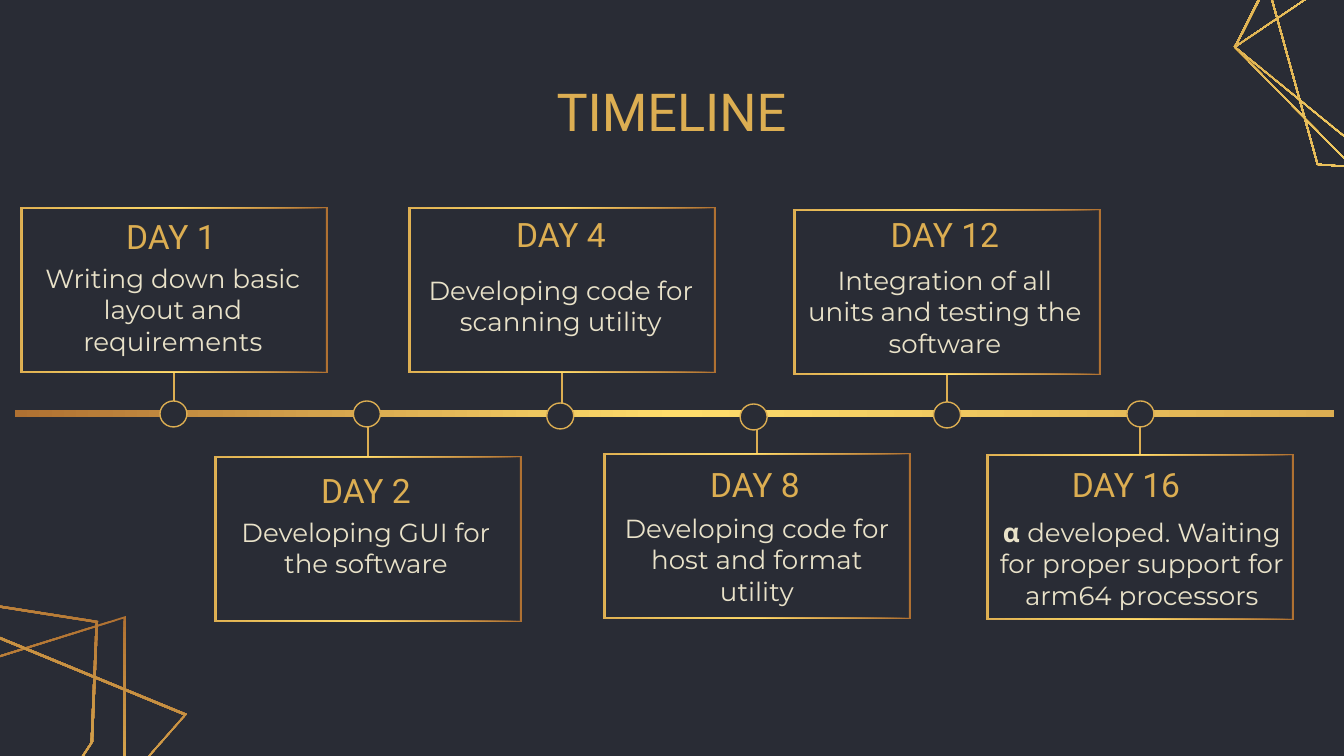
from copy import deepcopy

from pptx import Presentation
from pptx.dml.color import RGBColor
from pptx.enum.shapes import MSO_CONNECTOR as Conn, MSO_SHAPE as Shape
from pptx.enum.text import MSO_ANCHOR as Anchor, PP_ALIGN as Align
from pptx.oxml.ns import qn
from pptx.oxml.xmlchemy import OxmlElement as Node
from pptx.util import Inches, Pt

NAVY = RGBColor(0x29, 0x2C, 0x35)
GOLD = RGBColor(0xDC, 0xAE, 0x52)
CREAM = RGBColor(0xE9, 0xE2, 0xC9)
BLEND = [(0, RGBColor(0xAF, 0x71, 0x32)), (0.5, RGBColor(0xFF, 0xDD, 0x6B)), (1, GOLD)]

# Text formats
TITLE = {"name": "Roboto", "size": Pt(28), "color": GOLD}
DAY = {"name": "Roboto", "size": Pt(18), "color": GOLD}
BODY = {"name": "Montserrat", "size": Pt(14), "color": CREAM, "bold": False}

# Each step: frame corner, day corner, body corner, dot top, day, body runs (text, bold)
STEPS = [
    ((20, 207), (15, 210), (17, 249), 401, "DAY 1",
     [("Writing down basic layout and requirements", False)]),
    ((214, 456), (210, 464), (210, 503), 401, "DAY 2",
     [("Developing GUI for the software", False)]),
    ((408, 207), (405, 208), (405, 261), 403, "DAY 4",
     [("Developing code for scanning utility", False)]),
    ((603, 453), (599, 458), (601, 499), 404, "DAY 8",
     [("Developing code for host and format utility", False)]),
    ((793, 209), (789, 208), (789, 251), 402, "DAY 12",
     [("Integration of all units and testing the software", False)]),
    ((986, 454), (970, 458), (986, 503), 401, "DAY 16",
     [("α ", True), ("developed. Waiting for proper support for arm64 processors", False)]),
]

# Corner outlines: turn of the blend in degrees, corners
CORNERS = [
    (90, [(-438, 792), (126, 616), (126, 864), (-206, 1208)]),
    (175, [(1255, -59), (1400, -130), (1582, 30), (1625, 149), (1554, 183), (1317, 165)]),
    (175, [(1234, 47), (1288, -60), (1614, 28), (1636, 230), (1349, 164)]),
    (175, [(1234, 47), (1490, -126), (1636, 230), (1474, 243)]),
    (114, [(-450, 965), (-439, 716), (-93, 591), (98, 621), (93, 742), (-105, 1046)]),
    (114, [(-351, 1118), (-454, 969), (-97, 597), (187, 714), (-109, 1050)]),
]

WIDE, HIGH = 308, 166       # frame
DOT_W, DOT_H = 27, 26
DOT_X, PITCH = 160, 193.4
TEXT_W, DAY_H, BODY_H = 312, 52, 128
UNIT = Inches(10) / 1344

prs = Presentation()
prs.slide_width, prs.slide_height = Inches(10), Inches(5.625)
slide = prs.slides.add_slide(prs.slide_layouts[6])
slide.background.fill.solid()
slide.background.fill.fore_color.rgb = NAVY
shapes = slide.shapes


def px(*nums):
    return [round(n * UNIT) for n in nums]


def blend(shape, turn):
    """Fill with the three-stop gold blend, turned clockwise."""
    shape.shadow.inherit = False
    shape.line.fill.background()
    fill = shape.fill
    fill.gradient()
    fill.gradient_angle = (360 - turn) % 360
    stops = shape._element.spPr.find(".//" + qn("a:gsLst"))
    stops.append(deepcopy(stops[0]))
    for stop, (pos, color) in zip(fill.gradient_stops, BLEND):
        stop.position = pos
        stop.color.rgb = color


def ring(pts, keep, turn):
    """Draw a thin closed band: the outline and itself shrunk to its middle."""
    mid = [(min(axis) + max(axis)) / 2 for axis in zip(*pts)]
    inner = [[m + (n - m) * keep for n, m in zip(pt, mid)] for pt in pts]
    outer, inner = ([px(*pt) for pt in way] for way in (pts, inner))
    form = shapes.build_freeform(*outer[0], scale=1.0)
    form.add_line_segments(outer[1:], close=True)
    form.move_to(*inner[0])
    form.add_line_segments(inner[1:], close=True)
    blend(form.convert_to_shape(), turn)


def write(box, runs, style, anchor):
    frame = shapes.add_textbox(*px(*box)).text_frame
    margins = dict.fromkeys(
        ("margin_left", "margin_top", "margin_right", "margin_bottom"), Inches(0.1))
    for key, val in {"word_wrap": True, "vertical_anchor": anchor, **margins}.items():
        setattr(frame, key, val)
    para = frame.paragraphs[0]
    para.alignment = Align.CENTER
    for text, bold in runs:
        run = para.add_run()
        run.text = text
        for key, val in {**style, "bold": bold}.items():
            if key == "color":
                run.font.color.rgb = val
            else:
                setattr(run.font, key, val)


def edge(item):
    item.line.color.rgb = GOLD
    item.line.width = Pt(0.75)


# Corner outlines
for turn, pts in CORNERS:
    ring(pts, 0.991, turn)

# Time bar
blend(shapes.add_shape(Shape.RECTANGLE, *px(15, 410, 1319, 7)), 0)

# Title
write((293, 79, 757, 63), [("TIMELINE", False)], TITLE, Anchor.MIDDLE)

# Steps, in turn above and below the bar
for i, ((x, y), day_at, body_at, top, day, body) in enumerate(STEPS):
    dot = shapes.add_shape(Shape.OVAL, *px(DOT_X + PITCH * i, top, DOT_W, DOT_H))
    dot.shadow.inherit = False
    dot.fill.solid()
    dot.fill.fore_color.rgb = NAVY
    edge(dot)

    ring([(x, y), (x + WIDE, y), (x + WIDE, y + HIGH), (x, y + HIGH)], 0.986, 180)

    mid = x + WIDE / 2
    ends = (y + HIGH, top) if y < top else (top + DOT_H, y)
    stem = shapes.add_connector(Conn.STRAIGHT, *px(mid, ends[0], mid, ends[1]))
    edge(stem)
    stem._element.spPr.append(Node("a:effectLst"))

    write((*day_at, TEXT_W, DAY_H), [(day, False)], DAY, Anchor.MIDDLE)
    write((*body_at, TEXT_W, BODY_H), body, BODY, Anchor.TOP)

prs.save("out.pptx")
